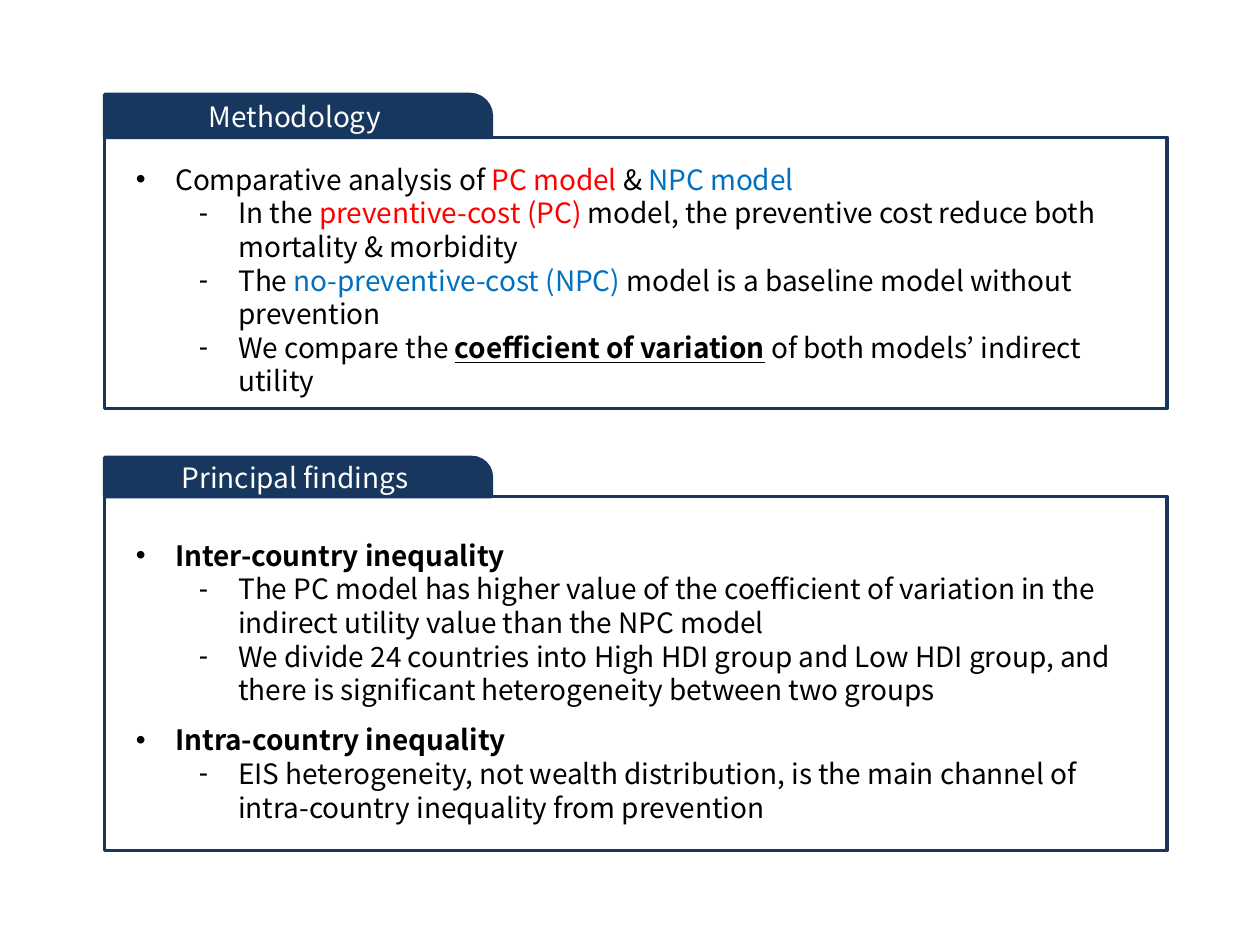
from lxml import etree
from pptx import Presentation
from pptx.dml.color import RGBColor
from pptx.enum.shapes import MSO_SHAPE
from pptx.enum.text import MSO_ANCHOR, MSO_AUTO_SIZE, PP_ALIGN
from pptx.oxml.ns import qn
from pptx.util import Pt

RECTANGLE = MSO_SHAPE.RECTANGLE
TAB_SHAPE = MSO_SHAPE.ROUND_1_RECTANGLE
MIDDLE = MSO_ANCHOR.MIDDLE
CENTER = PP_ALIGN.CENTER
GROW = MSO_AUTO_SIZE.SHAPE_TO_FIT_TEXT

FONT = "Noto Sans CJK KR"
COLORS = {"navy": "17375E", "white": "FFFFFF", "black": "000000",
          "red": "FF0000", "blue": "0070C0"}

# Content: each point is (level, line spacing, runs); a run is (text, format)
PC, NPC = {"color": "red"}, {"color": "blue"}
BOLD = {"bold": True}
SECTIONS = [
    {"title": "Methodology", "top": 54, "tab_height": 24.5, "body_height": 155,
     "text_width": 595.5, "text_height": 143.5,
     "points": [
         (0, None, [("Comparative analysis of ", {}), ("PC model", PC),
                    (" & ", {}), ("NPC model", NPC)]),
         (1, None, [("In the ", {}), ("preventive-cost (PC)", PC),
                    (" model, the preventive cost reduce both mortality & morbidity", {})]),
         (1, None, [("The ", {}), ("no-preventive-cost (NPC)", NPC),
                    (" model is a baseline model without prevention", {})]),
         (1, None, [("We compare the ", {}),
                    ("coefficient of variation", {"bold": True, "underline": True}),
                    (" of both models’ indirect utility", {})]),
     ]},
    {"title": "Principal findings", "top": 261.4, "tab_height": 22.3, "body_height": 202.3,
     "text_width": 584, "text_height": 181.5,
     "points": [
         (0, 1.5, [("Inter-country inequality", BOLD)]),
         (1, None, [("The PC model has higher value of the coefficient of variation "
                     "in the indirect utility value than the NPC model", {})]),
         (1, None, [("We divide 24 countries into High HDI group and Low HDI group, "
                     "and there is significant heterogeneity between two groups", {})]),
         (0, 1.5, [("Intra-country inequality", BOLD)]),
         (1, None, [("EIS heterogeneity, not wealth distribution, is the main channel "
                     "of intra-country inequality from prevention", {})]),
     ]},
]

# Layout in points
LEFT, BODY_WIDTH, TAB_WIDTH = 59.8, 607, 221
TEXT_LEFT, TEXT_GAP = 70.6, 10.8
HANG, LEVEL_STEP = 22.5, 36
BULLETS = ("•", "-")


def add_run(paragraph, text, color="black", bold=False, underline=False):
    run = paragraph.add_run()
    run.text = text
    run.font.name = FONT
    run.font.size = Pt(16)
    run.font.bold = bold
    run.font.underline = underline
    run.font.color.rgb = RGBColor.from_string(COLORS[color])


def set_bullet(paragraph, level):
    paragraph.level = level
    properties = paragraph._p.get_or_add_pPr()
    properties.set("marL", str(Pt(HANG + LEVEL_STEP * level)))
    properties.set("indent", str(-Pt(HANG)))
    etree.SubElement(properties, qn("a:buFont")).set("typeface", "Arial")
    etree.SubElement(properties, qn("a:buChar")).set("char", BULLETS[level])


def add_box(slide, preset, top, width, height):
    box = slide.shapes.add_shape(preset, Pt(LEFT), Pt(top), Pt(width), Pt(height))
    box.shadow.inherit = False
    box.line.color.rgb = RGBColor.from_string(COLORS["navy"])
    box.line.width = Pt(2)
    box.fill.background()
    return box


def add_section(slide, section):
    body_top = section["top"] + section["tab_height"]

    # Frame
    add_box(slide, RECTANGLE, body_top, BODY_WIDTH, section["body_height"])

    # Title tab
    tab = add_box(slide, TAB_SHAPE, section["top"], TAB_WIDTH, section["tab_height"])
    tab.adjustments[0] = 0.5
    tab.fill.solid()
    tab.fill.fore_color.rgb = RGBColor.from_string(COLORS["navy"])
    tab.text_frame.vertical_anchor = MIDDLE
    title = tab.text_frame.paragraphs[0]
    title.alignment = CENTER
    add_run(title, section["title"], color="white")

    # Bulleted points
    frame = slide.shapes.add_textbox(
        Pt(TEXT_LEFT), Pt(body_top + TEXT_GAP),
        Pt(section["text_width"]), Pt(section["text_height"])).text_frame
    frame.word_wrap = True
    frame.auto_size = GROW
    for index, (level, spacing, runs) in enumerate(section["points"]):
        point = frame.add_paragraph() if index else frame.paragraphs[0]
        if spacing:
            point.line_spacing = spacing
        set_bullet(point, level)
        for text, style in runs:
            add_run(point, text, **style)


def main():
    deck = Presentation()
    deck.slide_width, deck.slide_height = Pt(720), Pt(540)
    slide = deck.slides.add_slide(deck.slide_layouts[6])
    for section in SECTIONS:
        add_section(slide, section)
    deck.save("out.pptx")


if __name__ == "__main__":
    main()
